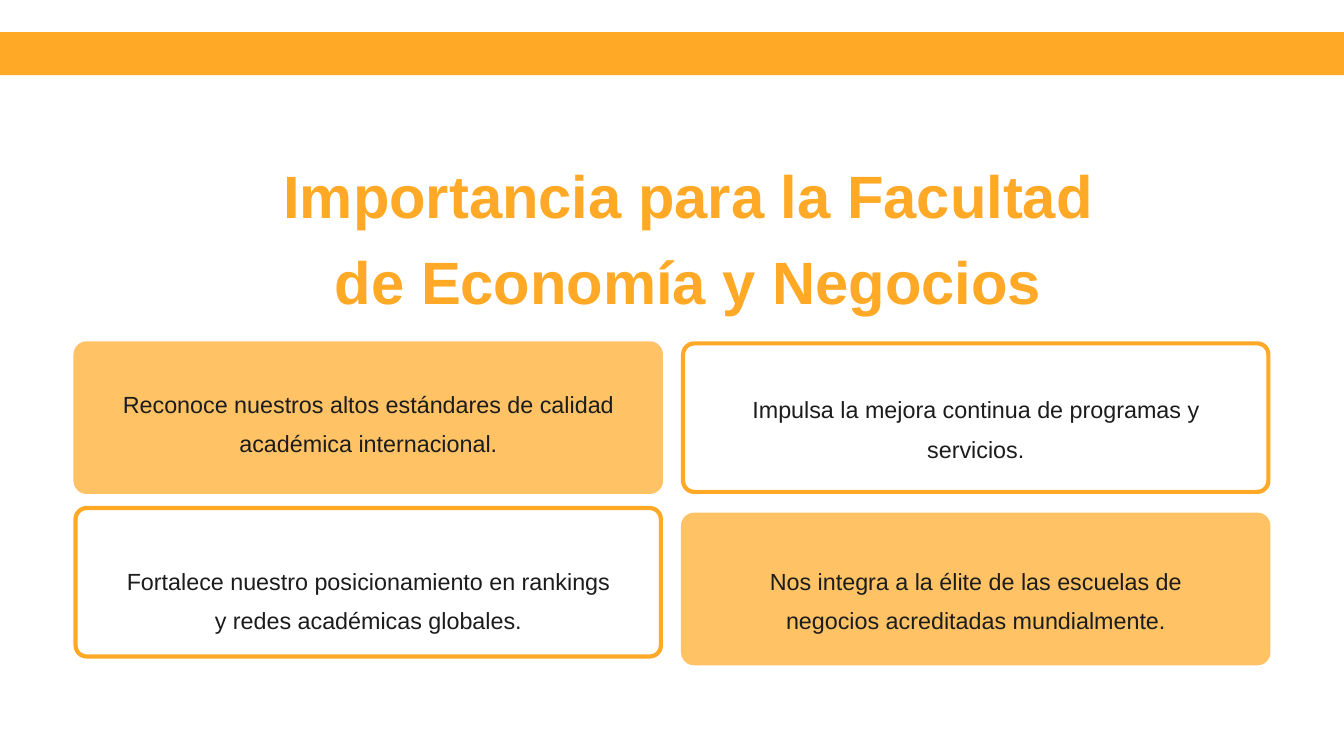
from pptx import Presentation
from pptx import util as u
from pptx.dml.color import RGBColor
from pptx.enum import shapes, text

WIDE, HIGH = 20, 11.25
FONT, AMBER, PALE, WHITE, INK = "Arial", "FFA926", "FFC265", "FFFFFF", "1C1C1C"

TITLE = "Importancia para la Facultad de Economía y Negocios"
CARDS = [
    ("Reconoce nuestros altos estándares de calidad académica internacional.", 5.11, 5.64, True),
    ("Impulsa la mejora continua de programas y servicios.", 5.11, 5.72, False),
    ("Fortalece nuestro posicionamiento en rankings y redes académicas globales.", 7.56, 8.27, False),
    ("Nos integra a la élite de las escuelas de negocios acreditadas mundialmente.", 7.66, 8.27, True),
]
CARD_W, CARD_H, GAP, ROUND = 8.71, 2.21, 0.33, 0.165
TEXT_W, TEXT_H = 7.41, 0.94
LEFT = (WIDE - 2 * CARD_W - GAP) / 2

HEAD = {"size": u.Pt(64), "bold": True, "name": FONT}
BODY = {"size": u.Pt(25), "bold": False, "name": FONT}


def color(code):
    return RGBColor.from_string(code)


def inches(*sizes):
    return [u.Inches(size) for size in sizes]


def add_box(slide, kind, area, fill, line=None):
    box = slide.shapes.add_shape(kind, *inches(*area))
    box.shadow.inherit = False
    box.fill.solid()
    box.fill.fore_color.rgb = color(fill)
    if line:
        box.line.color.rgb = color(line)
        box.line.width = u.Pt(4.5)
    else:
        box.line.fill.background()
    return box


def add_text(slide, words, area, style, ink, space):
    frame = slide.shapes.add_textbox(*inches(*area)).text_frame
    frame.word_wrap = True
    for side in ("left", "top", "right", "bottom"):
        setattr(frame, f"margin_{side}", 0)
    para = frame.paragraphs[0]
    para.alignment = text.PP_ALIGN.CENTER
    para.line_spacing = space
    run = para.add_run()
    run.text = words
    for key, value in style.items():
        setattr(run.font, key, value)
    run.font.color.rgb = color(ink)


def main():
    deck = Presentation()
    deck.slide_width, deck.slide_height = inches(WIDE, HIGH)
    slide = deck.slides.add_slide(deck.slide_layouts[6])

    for i, (words, top, text_top, full) in enumerate(CARDS):
        left = LEFT + i % 2 * (CARD_W + GAP)
        fill, line = (PALE, PALE) if full else (WHITE, AMBER)
        card = add_box(slide, shapes.MSO_SHAPE.ROUNDED_RECTANGLE,
                       (left, top, CARD_W, CARD_H), fill, line)
        card.adjustments[0] = ROUND / CARD_H
        inset = (CARD_W - TEXT_W) / 2
        add_text(slide, words, (left + inset, text_top, TEXT_W, TEXT_H), BODY, INK, 1.4)

    add_text(slide, TITLE, (3.66, 2.15, 13.16, 2.58), HEAD, AMBER, 1.2)
    add_box(slide, shapes.MSO_SHAPE.RECTANGLE, (0, 0.48, WIDE, 0.64), AMBER)
    deck.save("out.pptx")


if __name__ == "__main__":
    main()
